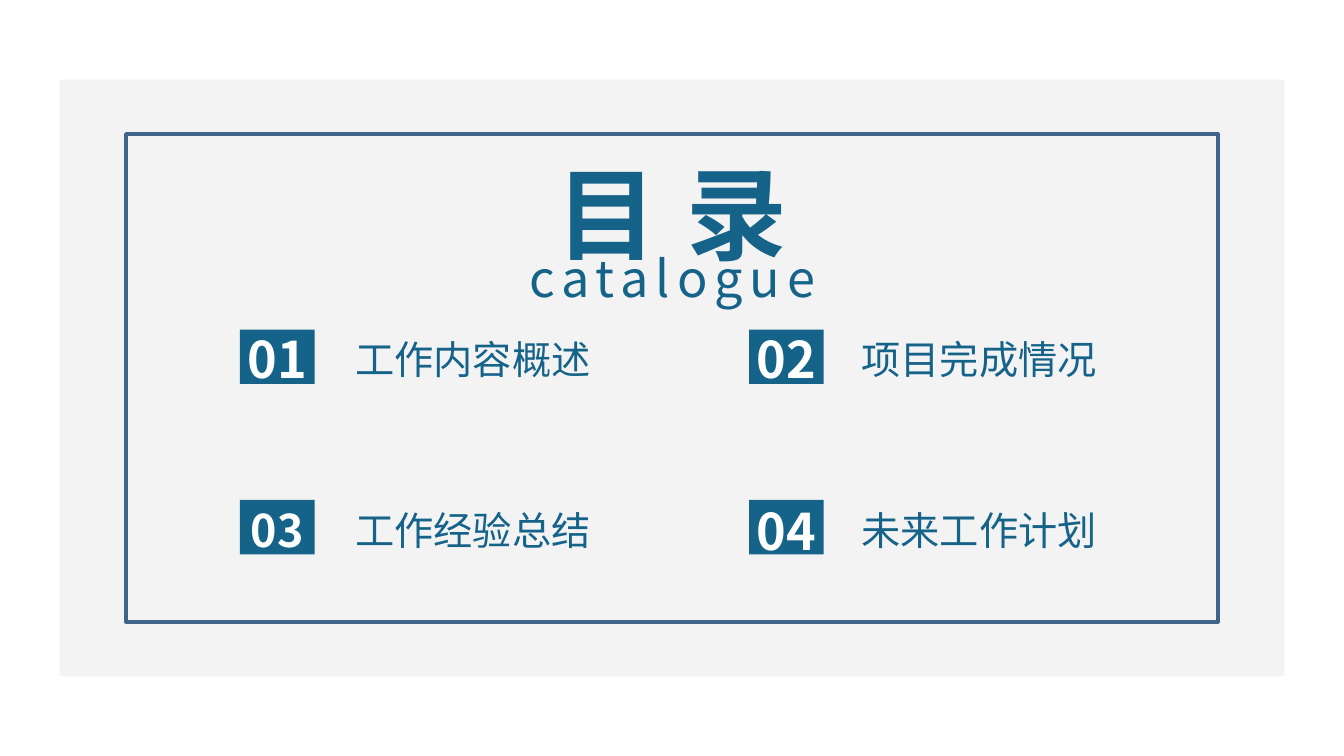
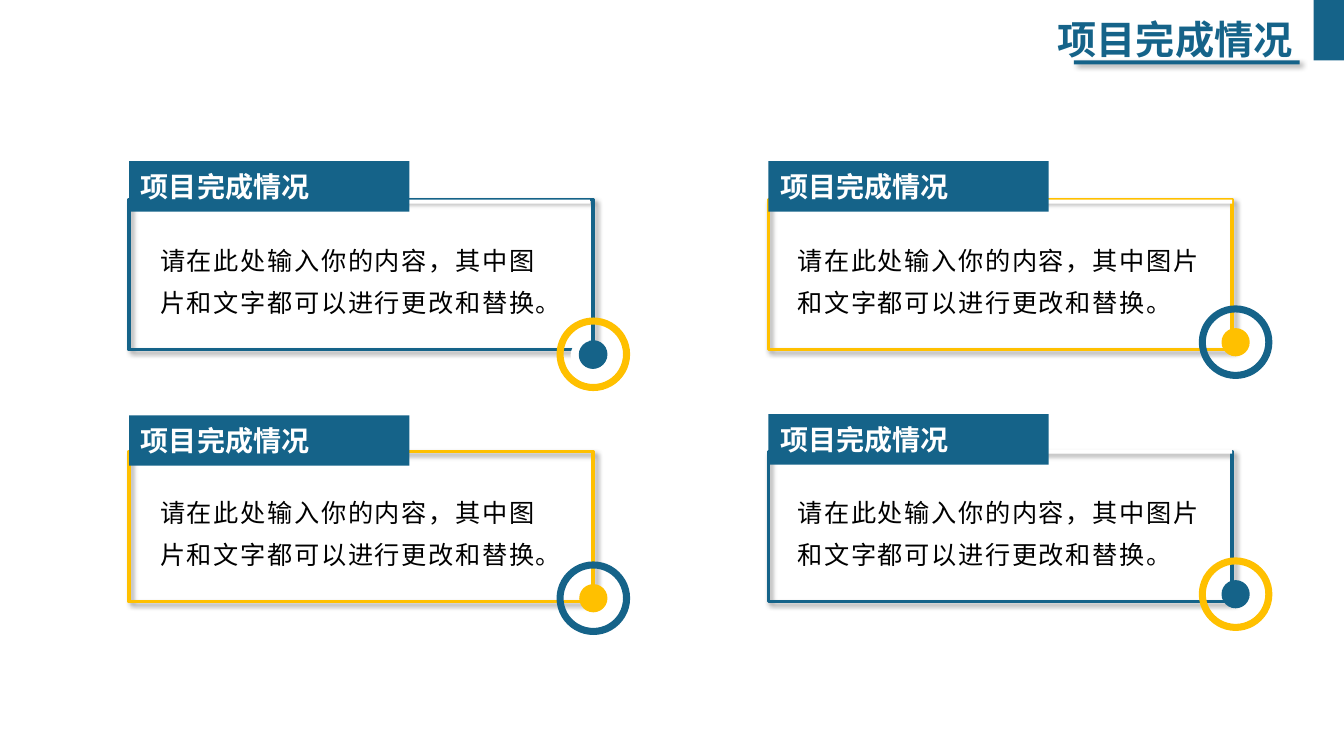
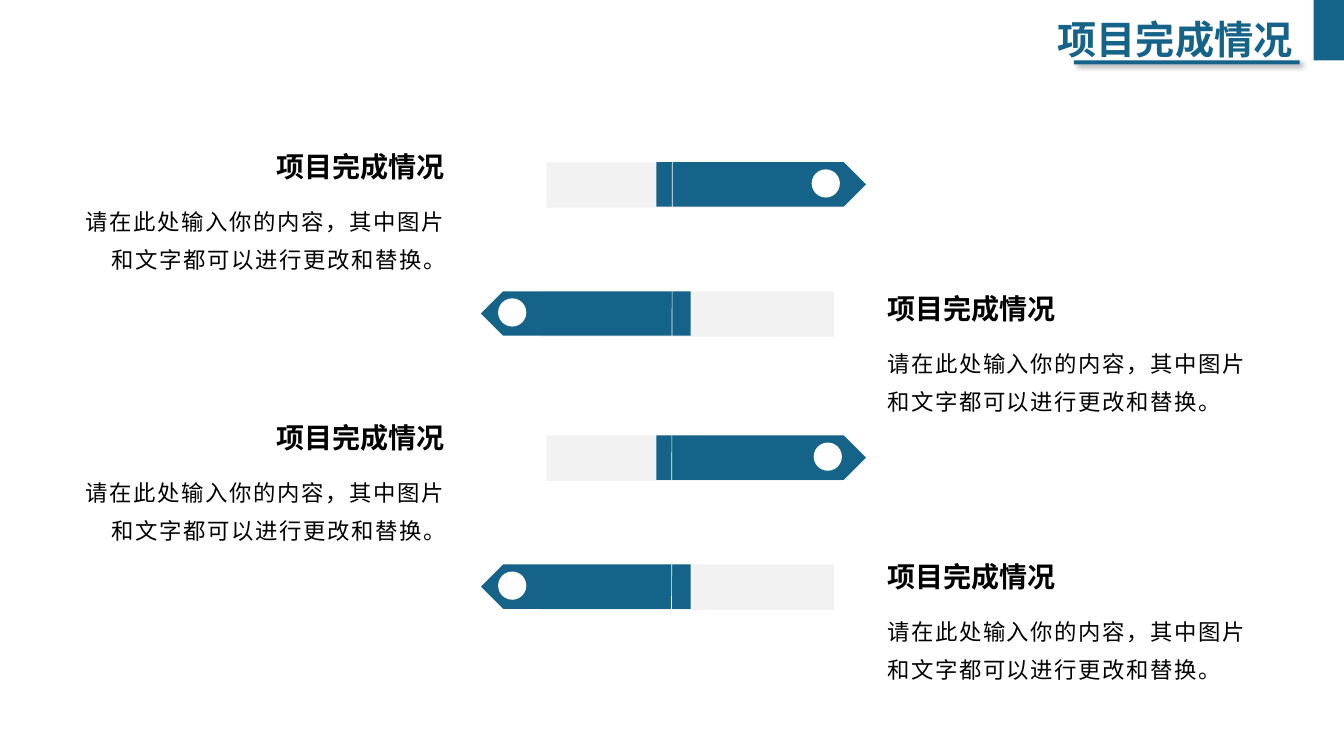
import pptx
import pptx.util
import pptx.dml.color
import pptx.enum.shapes
import pptx.enum.text
import pptx.oxml
import pptx.oxml.ns

Inches = pptx.util.Inches
KIND = pptx.enum.shapes.MSO_SHAPE
ALIGN = pptx.enum.text.PP_ALIGN
FONT = "Noto Sans CJK SC"
HUE = {
    "blue": "156389",
    "gold": "FFC000",
    "pale": "F2F2F2",
    "edge": "3F6389",
    "white": "FFFFFF",
    "black": "000000",
}
TOPIC = "项目完成情况"
BODY = "请在此处输入你的内容，其中图片和文字都可以进行更改和替换。"
RING = 0.73
DOT = 0.28


def tint(name):
    return pptx.dml.color.RGBColor.from_string(HUE[name])


def shade(shape):
    ns = pptx.oxml.ns.nsdecls("a")
    shape._element.spPr.append(pptx.oxml.parse_xml(
        f'<a:effectLst {ns}><a:outerShdw blurRad="50800" dist="38100" '
        'dir="2700000" algn="tl" rotWithShape="0"><a:srgbClr val="000000">'
        '<a:alpha val="40000"/></a:srgbClr></a:outerShdw></a:effectLst>'))


def draw(slide, box, fill=None, line=None, kind=KIND.RECTANGLE, shadow=False):
    shape = slide.shapes.add_shape(kind, *map(Inches, box))
    if fill:
        shape.fill.solid()
        shape.fill.fore_color.rgb = tint(fill)
    else:
        shape.fill.background()
    if line:
        shape.line.color.rgb = tint(line)
        shape.line.width = pptx.util.Pt(2.5)
    else:
        shape.line.fill.background()
    if shadow:
        shade(shape)
    else:
        shape.shadow.inherit = False
    return shape


def dot(slide, x, y, fill):
    draw(slide, (x, y, DOT, DOT), fill, kind=KIND.OVAL)


def style(shape, text, size, hue, bold, align, space, lead):
    frame = shape.text_frame
    frame.word_wrap = True
    frame.auto_size = pptx.enum.text.MSO_AUTO_SIZE.SHAPE_TO_FIT_TEXT
    frame.vertical_anchor = pptx.enum.text.MSO_ANCHOR.TOP
    para = frame.paragraphs[0]
    para.text = text
    para.alignment = align
    if lead:
        para.line_spacing = lead
    font = para.font
    font.size = pptx.util.Pt(size)
    font.bold = bold
    font.color.rgb = tint(hue)
    font.name = FONT
    props = font._element
    props.set("spc", str(int(space * 100)))
    east = props.makeelement(pptx.oxml.ns.qn("a:ea"), {"typeface": FONT})
    props.find(pptx.oxml.ns.qn("a:latin")).addnext(east)


def write(slide, box, text, size, hue="black", bold=False,
          align=ALIGN.LEFT, space=0, lead=None):
    shape = slide.shapes.add_textbox(*map(Inches, box))
    style(shape, text, size, hue, bold, align, space, lead)


def title(slide, box, text, size, align, space=0):
    shape = slide.shapes.title
    shape.left, shape.top, shape.width, shape.height = map(Inches, box)
    style(shape, text, size, "blue", True, align, space, None)
    slide.shapes._spTree.append(shape._element)


def start(deck):
    return deck.slides.add_slide(deck.slide_layouts[5])


def topic(deck):
    slide = start(deck)
    title(slide, (9.89, 0.1, 3.03, 0.57), TOPIC, 28, ALIGN.RIGHT)
    draw(slide, (10.65, 0.6, 2.24, 0.04), "blue", shadow=True)
    draw(slide, (13.03, 0, 0.3, 0.6), "blue")
    return slide


def entry(slide, x, y, left, label, text, size, top):
    draw(slide, (x, y, 0.74, 0.54), "blue")
    write(slide, (left, y + 0.01, 3.78, 0.57), text, 28, "blue",
          align=ALIGN.CENTER)
    write(slide, (x - 0.09, top, 0.92, 0.71), label, size, "white", True,
          ALIGN.CENTER)


def agenda(deck):
    slide = start(deck)
    panel = draw(slide, (0.59, 0.79, 12.15, 5.92), "pale")
    color = panel._element.spPr.find(".//" + pptx.oxml.ns.qn("a:srgbClr"))
    color.append(color.makeelement(pptx.oxml.ns.qn("a:alpha"),
                                   {"val": "85000"}))
    draw(slide, (1.25, 1.33, 10.83, 4.84), line="edge")
    title(slide, (5.02, 1.45, 3.29, 1.31), "目 录", 72, ALIGN.CENTER, 2)
    write(slide, (4.78, 2.4, 3.78, 0.71), "catalogue", 36, "blue",
          align=ALIGN.CENTER, space=5)
    items = [("工作内容概述", 36, 3.21), (TOPIC, 36, 3.21),
             ("工作经验总结", 32, 4.94), ("未来工作计划", 36, 4.91)]
    for i, (text, size, top) in enumerate(items):
        row, col = divmod(i, 2)
        entry(slide, 2.38 + 5.05 * col, 3.27 + 1.69 * row, 2.8 + 5.02 * col,
              f"{i + 1:02}", text, size, top)


def card(slide, x, y, hue, mask, tab, body, ring):
    draw(slide, (x, y, 4.6, 1.49), line=hue, shadow=True)
    if mask:
        draw(slide, (*mask, 2.24, 0.04), "white")
    draw(slide, (x, tab, 2.78, 0.5), "blue")
    write(slide, (x + 0.02, tab + 0.03, 3.03, 0.44), TOPIC, 20, "white", True)
    left, width = body
    write(slide, (left, y + 0.28, width, 0.95), BODY, 18, space=1.2, lead=1.4)
    other = "gold" if hue == "blue" else "blue"
    shape = draw(slide, (*ring, RING, RING), other, kind=KIND.DONUT)
    shape.adjustments[0] = 0.096
    inset = (RING - DOT) / 2
    dot(slide, ring[0] + inset, ring[1] + inset, hue)


def cards(deck):
    slide = topic(deck)
    near, far = (1.49, 4.17), (7.81, 4.23)
    rows = [
        (1.28, 1.98, "blue", (3.61, 1.98), 1.6, near, (5.52, 3.15)),
        (7.62, 1.98, "gold", (9.98, 1.98), 1.6, far, (11.89, 3.03)),
        (1.28, 4.48, "gold", None, 4.12, near, (5.52, 5.57)),
        (7.62, 4.48, "blue", (9.98, 4.46), 4.11, far, (11.89, 5.53)),
    ]
    for row in rows:
        card(slide, *row)
    dot(slide, 5.66, 3.38, "white")
    dot(slide, 5.74, 3.38, "blue")


def arrow(slide, y, right, spot):
    draw(slide, (5.42 if right else 5.35, y, 2.92, 0.45), "pale")
    shape = draw(slide, (6.51 if right else 4.77, y, 2.08, 0.44), "blue",
                 kind=KIND.PENTAGON)
    shape.rotation = 0 if right else 180
    dot(slide, spot, y + 0.07, "white")


def note(slide, y, right):
    align = ALIGN.RIGHT if right else ALIGN.LEFT
    write(slide, (2.42 if right else 8.7, y, 2.09, 0.44), TOPIC, 20,
          bold=True, align=align)
    write(slide, (0.67 if right else 8.7, y + 0.48, 3.85, 0.85), BODY, 16,
          align=align, space=1.2, lead=1.4)


def arrows(deck):
    slide = topic(deck)
    rows = [(1.61, 1.43, 8.05), (2.89, 2.84, 4.94),
            (4.32, 4.12, 8.07), (5.6, 5.5, 4.94)]
    for i, (y, top, spot) in enumerate(rows):
        right = i % 2 == 0
        arrow(slide, y, right, spot)
        note(slide, top, right)
    ends = map(Inches, (6.67, 0.95, 6.66, 6.62))
    line = slide.shapes.add_connector(
        pptx.enum.shapes.MSO_CONNECTOR.STRAIGHT, *ends)
    line.line.color.rgb = tint("white")
    line.line.width = pptx.util.Pt(0.5)
    props = line._element.spPr
    props.append(props.makeelement(pptx.oxml.ns.qn("a:effectLst"), {}))


def main():
    deck = pptx.Presentation()
    deck.slide_width = Inches(13.33)
    deck.slide_height = Inches(7.5)
    agenda(deck)
    cards(deck)
    arrows(deck)
    deck.save("out.pptx")


if __name__ == "__main__":
    main()
